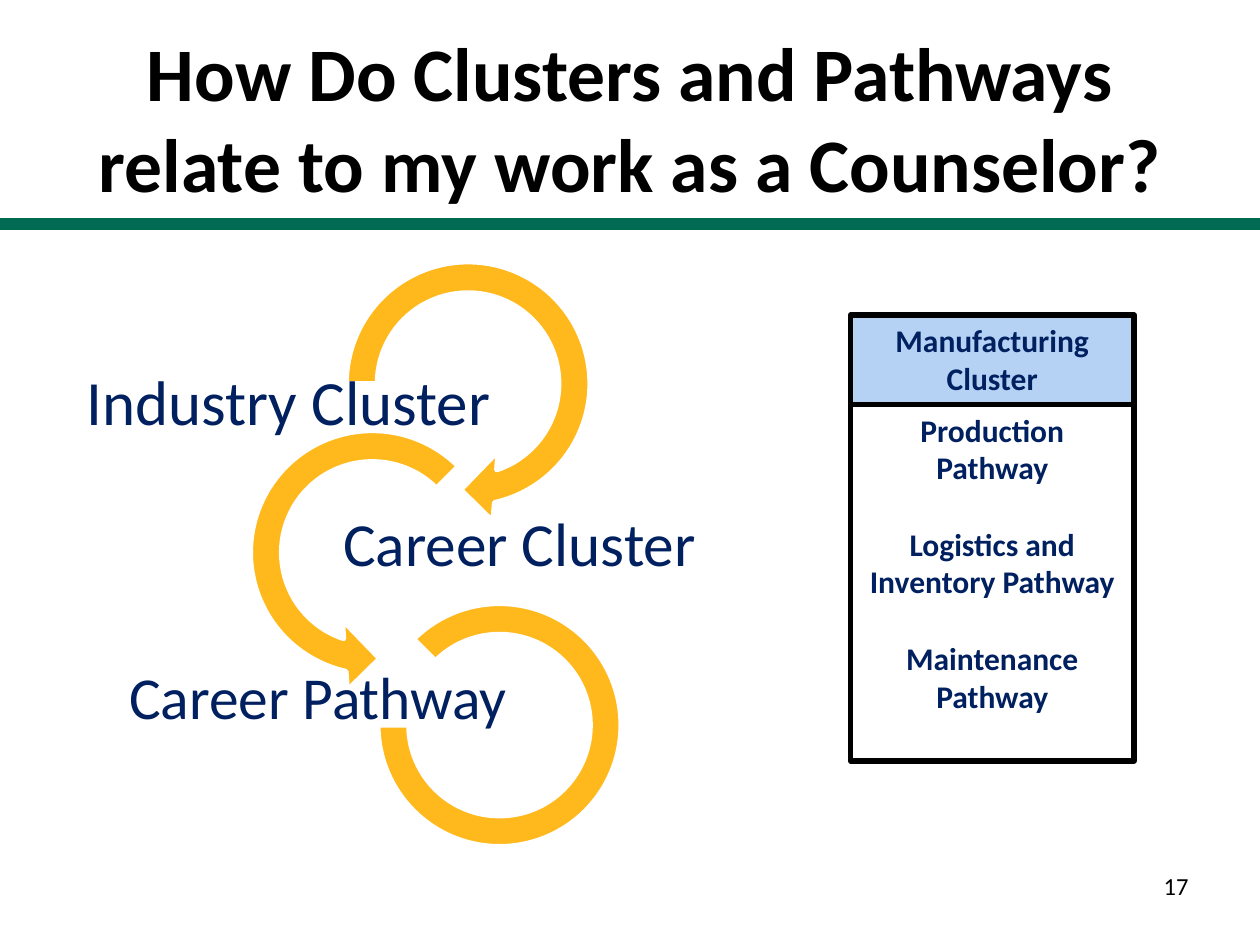
"""Build the slide on clusters and pathways for counselors."""
from lxml.etree import SubElement
from pptx import Presentation
from pptx.dml.color import RGBColor
from pptx.enum.shapes import MSO_CONNECTOR as Line, MSO_SHAPE as Kind
from pptx.enum.text import MSO_ANCHOR as Anchor, PP_ALIGN as Align
from pptx.oxml.ns import qn
from pptx.util import Inches, Pt

COL = ROW = Inches(1)
NAVY, GOLD, GREEN = "002060", "FFB91D", "006A52"
BLACK, WHITE, SKY = "000000", "FFFFFF", "B5D2F5"


def paint(color, tone):
    color.rgb = RGBColor.from_string(tone)


def write(shape, lines, size, tone, bold=False, anchor=Anchor.MIDDLE, inset=None, lead=None):
    frame = shape.text_frame
    frame.word_wrap = True
    frame.vertical_anchor = anchor
    if inset is not None:
        frame.margin_left = frame.margin_right = Inches(inset)
        frame.margin_top = frame.margin_bottom = Inches(inset)
    frame.text = "\n".join(lines)
    for i, para in enumerate(frame.paragraphs):
        para.alignment = Align.CENTER
        if lead:
            para.line_spacing = lead
        if i:
            para.space_before = Pt(22)
        font = para.runs[0].font
        font.name, font.size, font.bold = "Calibri", Pt(size), bold
        paint(font.color, tone)


deck = Presentation()
deck.slide_width, deck.slide_height = 10 * COL, int(7.5 * ROW)
slide = deck.slides.add_slide(deck.slide_layouts[6])
shapes = slide.shapes

for y, width in [(1.78, 7), (1.73, 0.5)]:
    top = int(y * ROW)
    rule = shapes.add_connector(Line.STRAIGHT, 0, top, 10 * COL, top)
    paint(rule.line.color, GREEN)
    rule.line.width = Pt(width)
    SubElement(rule._element.spPr, qn("a:effectLst"))

title = shapes.add_textbox(int(0.5 * COL), int(0.3 * ROW), 9 * COL, int(1.25 * ROW))
write(title, ["How Do Clusters and Pathways relate to my work as a Counselor?"], 43.2, BLACK, True)

steps = [
    (Kind.CIRCULAR_ARROW, 2.59, 1.92, 2.25, [0.11, 11.42, 45, 108, 0.125],
     "Industry Cluster", 0.49, 2.81, 3.6, 0.81, 36),
    (Kind.LEFT_CIRCULAR_ARROW, 1.83, 3.26, 2.25, [0.11, 11.42, 63, 189, 0.125],
     "Career Cluster", 2.5, 4.03, 3.25, 0.62, 35),
    (Kind.BLOCK_ARC, 3, 4.79, 1.93, [135, 108, 0.127],
     "Career Pathway", 0.01, 5.24, 5.03, 0.63, 34),
]
for kind, x, y, side, bends, name, left, top, wide, high, size in steps:
    ring = shapes.add_shape(kind, int(x * COL), int(y * ROW), int(side * COL), int(side * ROW))
    for i, bend in enumerate(bends):
        ring.adjustments[i] = bend
    ring.shadow.inherit = False
    ring.fill.solid()
    paint(ring.fill.fore_color, GOLD)
    paint(ring.line.color, WHITE)
    ring.line.width = Pt(3)
    label = shapes.add_textbox(int(left * COL), int(top * ROW), int(wide * COL), int(high * ROW))
    write(label, [name], size, NAVY, inset=0.02, lead=0.9)

number = shapes.add_textbox(9 * COL, int(6.83 * ROW), int(0.67 * COL), int(0.4 * ROW))
write(number, ["17"], 14, BLACK)

paths = ["Production Pathway", "Logistics and Inventory Pathway", "Maintenance Pathway"]
for y, high, tone, lines in [
    (2.5, 0.71, SKY, ["Manufacturing Cluster"]),
    (3.21, 2.83, WHITE, paths),
]:
    box = shapes.add_shape(Kind.RECTANGLE, int(6.75 * COL), int(y * ROW), int(2.25 * COL), int(high * ROW))
    box.shadow.inherit = False
    box.fill.solid()
    paint(box.fill.fore_color, tone)
    paint(box.line.color, BLACK)
    box.line.width = Pt(3)
    write(box, lines, 18, NAVY, True, Anchor.TOP)

deck.save("out.pptx")
